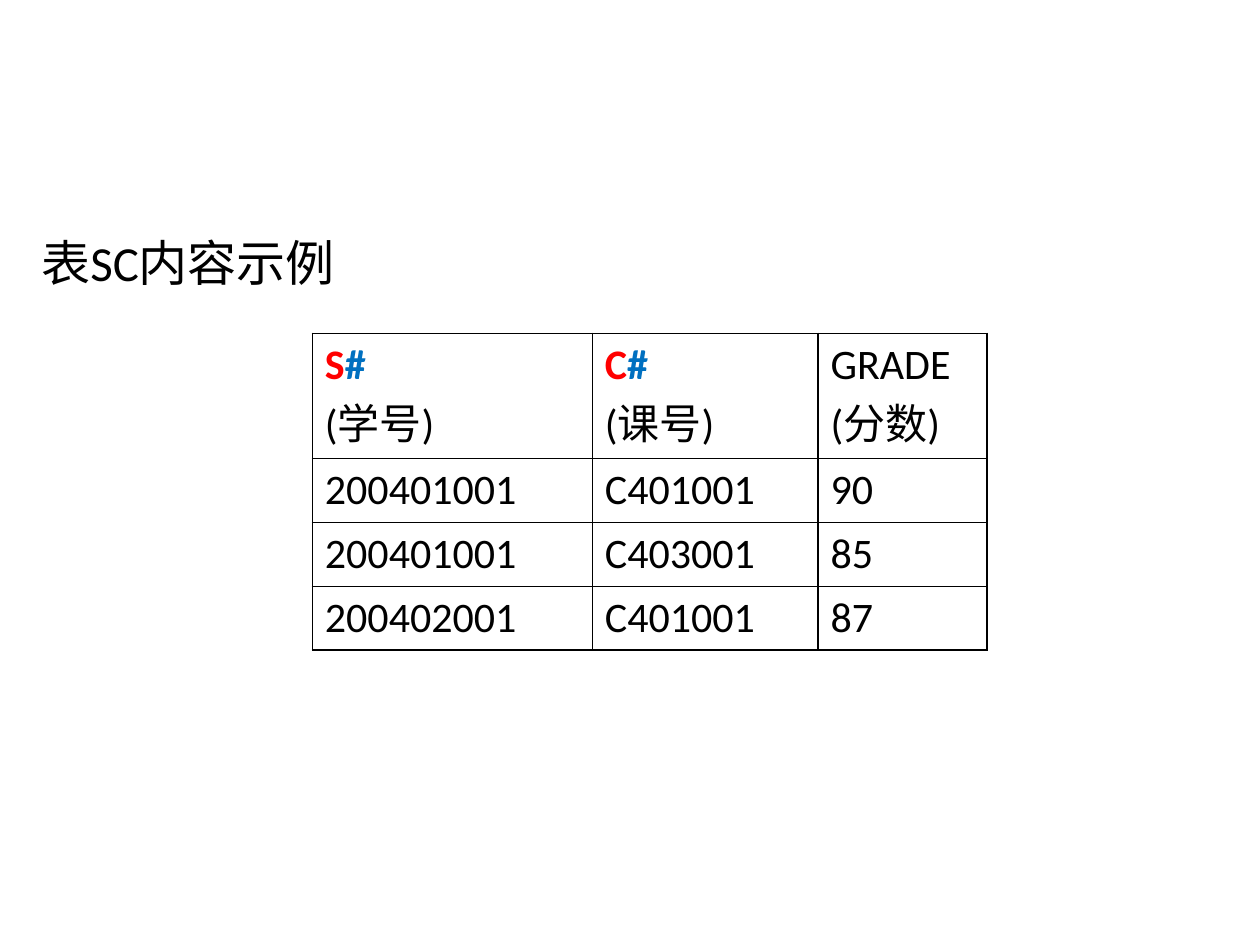
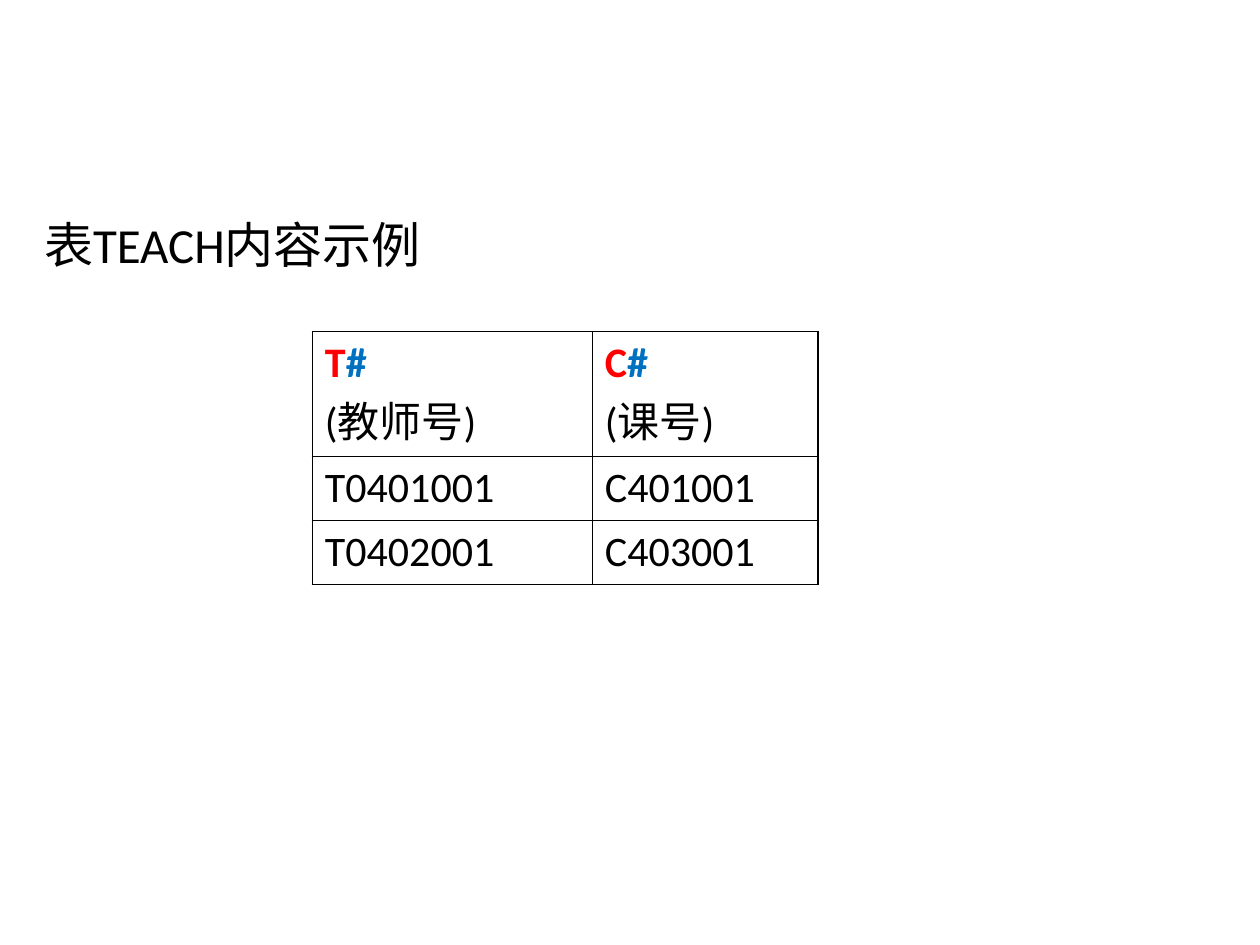
import pptx
import pptx.util
import pptx.dml.color
import pptx.enum.text
import pptx.oxml

Pt = pptx.util.Pt
RGBColor = pptx.dml.color.RGBColor
BLACK = RGBColor(0x00, 0x00, 0x00)
RED = RGBColor(0xFF, 0x00, 0x00)
BLUE = RGBColor(0x00, 0x70, 0xC0)
COLUMN_WIDTHS = (160, 129, 96.5)
TABLE_LEFT = 178.5
HEADER_HEIGHT, ROW_HEIGHT = 71.5, 36.5
NS = "http://schemas.openxmlformats.org/drawingml/2006/main"


class Deck:
    font = "Calibri"
    title_size = 28
    cell_size = 24
    border = 1

    def __init__(self):
        self.prs = pptx.Presentation()
        self.prs.slide_width, self.prs.slide_height = Pt(720), Pt(540)

    def new_slide(self):
        self.s = self.prs.slides.add_slide(self.prs.slide_layouts[5])

    def format_run(self, r, size, color=BLACK, bold=False):
        r.font.name, r.font.size, r.font.bold = self.font, Pt(size), bold
        r.font.color.rgb = color

    def title(self, text, left, top, width):
        sp = self.s.shapes.title
        sp.left, sp.top, sp.width, sp.height = Pt(left), Pt(top), Pt(width), Pt(50)
        tf = sp.text_frame
        tf.text = text
        tf.word_wrap = True
        tf.auto_size = pptx.enum.text.MSO_AUTO_SIZE.NONE
        tf.vertical_anchor = pptx.enum.text.MSO_ANCHOR.TOP
        p = tf.paragraphs[0]
        p.alignment = pptx.enum.text.PP_ALIGN.LEFT
        p.line_spacing = 0.9
        self.format_run(p.runs[0], self.title_size)

    def outline(self, cell):
        tcPr = cell._tc.get_or_add_tcPr()
        for i, side in enumerate("LRTB"):
            tcPr.insert(i, pptx.oxml.parse_xml(
                f'<a:ln{side} xmlns:a="{NS}" w="{Pt(self.border)}"><a:solidFill>'
                f'<a:srgbClr val="{BLACK}"/></a:solidFill></a:ln{side}>'))

    def cell(self, cell, text):
        cell.fill.background()
        self.outline(cell)
        cell.text_frame.text = text
        for p in cell.text_frame.paragraphs:
            if p.text.endswith("#"):
                letter = p.runs[0]
                letter.text = p.text[:-1]
                self.format_run(letter, self.cell_size, RED, True)
                mark = p.add_run()
                mark.text = "#"
                self.format_run(mark, self.cell_size, BLUE, True)
            else:
                self.format_run(p.runs[0], self.cell_size)

    def table(self, top, rows):
        widths = COLUMN_WIDTHS[:len(rows[0])]
        heights = [HEADER_HEIGHT] + [ROW_HEIGHT] * (len(rows) - 1)
        table = self.s.shapes.add_table(
            len(rows), len(widths), Pt(TABLE_LEFT), Pt(top),
            Pt(sum(widths)), Pt(sum(heights))).table
        table.first_row = table.horz_banding = False
        for column, width in zip(table.columns, widths):
            column.width = Pt(width)
        for row, height, texts in zip(table.rows, heights, rows):
            row.height = Pt(height)
            for cell, text in zip(row.cells, texts):
                self.cell(cell, text)


def main():
    deck = Deck()

    deck.new_slide()
    deck.title("表SC内容示例", 16.5, 133, 702)
    deck.table(190.5, [
        ("S#\n(学号)", "C#\n(课号)", "GRADE\n(分数)"),
        ("200401001", "C401001", "90"),
        ("200401001", "C403001", "85"),
        ("200402001", "C401001", "87"),
    ])

    deck.new_slide()
    deck.title("表TEACH内容示例", 18, 122.5, 687.5)
    deck.table(189.5, [
        ("T#\n(教师号)", "C#\n(课号)"),
        ("T0401001", "C401001"),
        ("T0402001", "C403001"),
    ])

    deck.prs.save("out.pptx")


if __name__ == "__main__":
    main()
